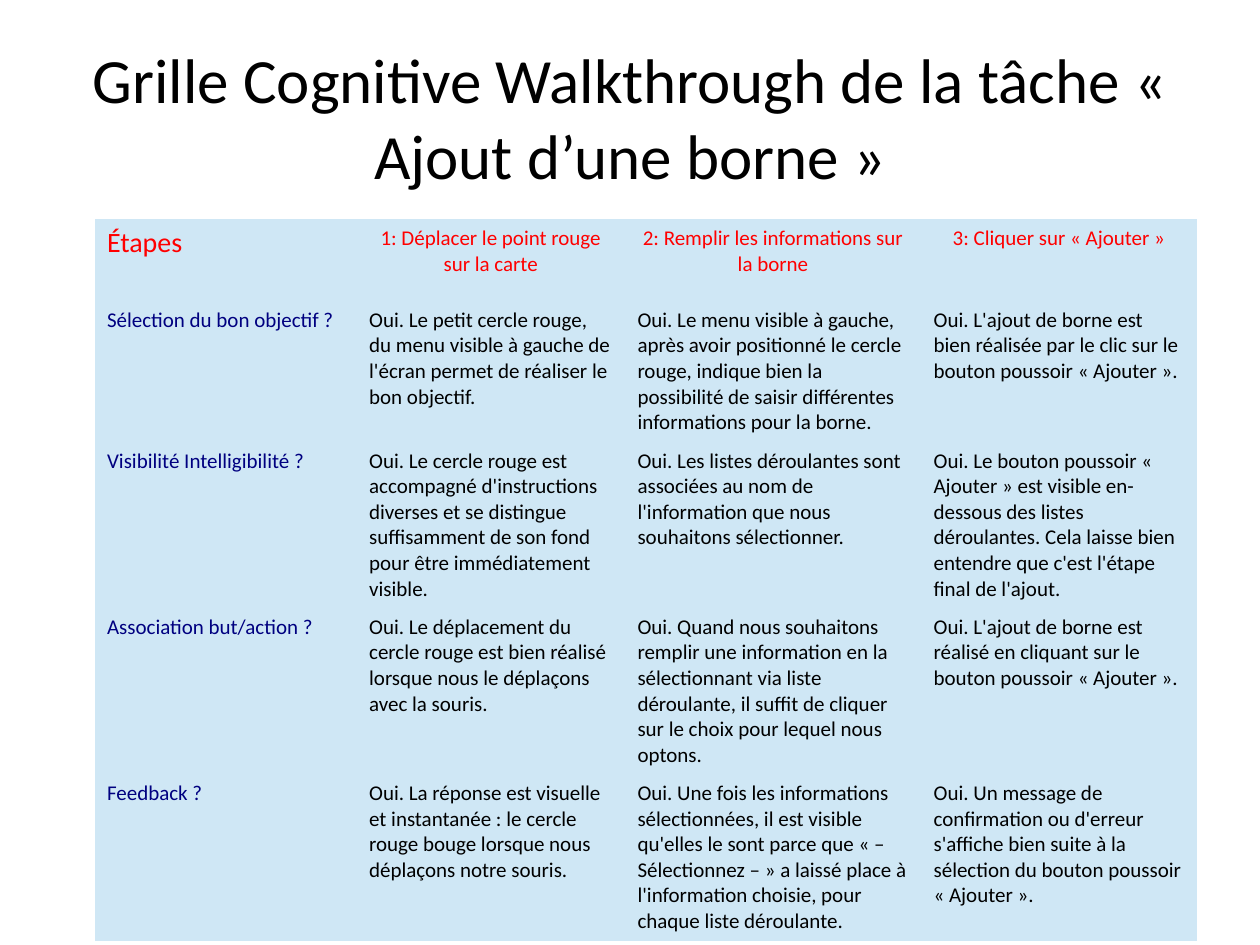
from dataclasses import dataclass

from pptx import Presentation
from pptx.dml.color import RGBColor
from pptx.enum import text as t
from pptx.util import Inches, Pt

COLORS = {
    "title": "000000",
    "step": "FF0000",
    "question": "000080",
    "answer": "000000",
    "cell": "CFE7F5",
    "page": "FFFFFF",
}
FONT = "Calibri"
COLUMN_WIDTHS = [2.08, 2.13, 2.35, 2.19]
TABLE_LEFT, TABLE_TOP = 0.75, 1.74


@dataclass
class GridRow:
    height: float
    label: str
    entries: list[str]


STEPS = GridRow(0.65, "Étapes", [
    "1: Déplacer le point rouge sur la carte",
    "2: Remplir les informations sur la borne",
    "3: Cliquer sur « Ajouter »",
])
QUESTIONS = [
    GridRow(0.85, "Sélection du bon objectif ?", [
        "Oui. Le petit cercle rouge, du menu visible à gauche de l'écran "
        "permet de réaliser le bon objectif.",
        "Oui. Le menu visible à gauche, après avoir positionné le cercle rouge, "
        "indique bien la possibilité de saisir différentes informations pour la borne.",
        "Oui. L'ajout de borne est bien réalisée par le clic sur le bouton "
        "poussoir « Ajouter ».",
    ]),
    GridRow(1.12, "Visibilité Intelligibilité ?", [
        "Oui. Le cercle rouge est accompagné d'instructions diverses et se distingue "
        "suffisamment de son fond pour être immédiatement visible.",
        "Oui. Les listes déroulantes sont associées au nom de l'information "
        "que nous souhaitons sélectionner.",
        "Oui. Le bouton poussoir « Ajouter » est visible en-dessous des listes "
        "déroulantes. Cela laisse bien entendre que c'est l'étape final de l'ajout.",
    ]),
    GridRow(1.32, "Association but/action ?", [
        "Oui. Le déplacement du cercle rouge est bien réalisé lorsque nous "
        "le déplaçons avec la souris.",
        "Oui. Quand nous souhaitons remplir une information en la sélectionnant via "
        "liste déroulante, il suffit de cliquer sur le choix pour lequel nous optons.",
        "Oui. L'ajout de borne est réalisé en cliquant sur le bouton "
        "poussoir « Ajouter ».",
    ]),
    GridRow(1.32, "Feedback ?", [
        "Oui. La réponse est visuelle et instantanée : le cercle rouge bouge "
        "lorsque nous déplaçons notre souris.",
        "Oui. Une fois les informations sélectionnées, il est visible qu'elles le sont "
        "parce que « – Sélectionnez – » a laissé place à l'information choisie, "
        "pour chaque liste déroulante.",
        "Oui. Un message de confirmation ou d'erreur s'affiche bien suite à la "
        "sélection du bouton poussoir « Ajouter ».",
    ]),
]


def write(frame, content: str, *, color: str, size: float = 12,
          align=t.PP_ALIGN.LEFT) -> None:
    para = frame.paragraphs[0]
    para.alignment = align
    span = para.add_run()
    span.text = content
    span.font.name = FONT
    span.font.size = Pt(size)
    span.font.bold = False
    span.font.color.rgb = RGBColor.from_string(COLORS[color])


def add_title(page) -> None:
    box = page.shapes.title
    box.left, box.top = Inches(0.5), Inches(0.3)
    box.width, box.height = Inches(9), Inches(1.25)
    box.text_frame.vertical_anchor = t.MSO_ANCHOR.MIDDLE
    write(box.text_frame,
          "Grille Cognitive Walkthrough de la tâche « Ajout d’une borne »",
          color="title", size=36, align=t.PP_ALIGN.CENTER)


def add_grid(page, rows: list[GridRow]) -> None:
    height = sum(row.height for row in rows)
    table = page.shapes.add_table(
        len(rows), len(COLUMN_WIDTHS), Inches(TABLE_LEFT), Inches(TABLE_TOP),
        Inches(sum(COLUMN_WIDTHS)), Inches(height)).table
    table.first_row = table.horz_banding = False
    for column, width in zip(table.columns, COLUMN_WIDTHS):
        column.width = Inches(width)
    for line, row in zip(table.rows, rows):
        line.height = Inches(row.height)
        for cell in line.cells:
            cell.fill.solid()
            cell.fill.fore_color.rgb = RGBColor.from_string(COLORS["cell"])
        is_header = row is STEPS
        label, *entries = line.cells
        write(label.text_frame, row.label,
              color="step" if is_header else "question",
              size=16 if is_header else 12)
        for cell, entry in zip(entries, row.entries):
            write(cell.text_frame, entry,
                  color="step" if is_header else "answer",
                  align=t.PP_ALIGN.CENTER if is_header else t.PP_ALIGN.LEFT)
    # The plain style without grid lines leaves only the cell fills.
    style = table._tbl.tblPr.find(
        "{http://schemas.openxmlformats.org/drawingml/2006/main}tableStyleId")
    style.text = "{2D5ABB26-0587-4C30-8999-92F81FD0307C}"


def main() -> None:
    deck = Presentation()
    deck.slide_width, deck.slide_height = Inches(10), Inches(7.5)
    page = deck.slides.add_slide(deck.slide_layouts.get_by_name("Title Only"))
    page.background.fill.solid()
    page.background.fill.fore_color.rgb = RGBColor.from_string(COLORS["page"])
    add_title(page)
    add_grid(page, [STEPS, *QUESTIONS])
    deck.save("out.pptx")


if __name__ == "__main__":
    main()
